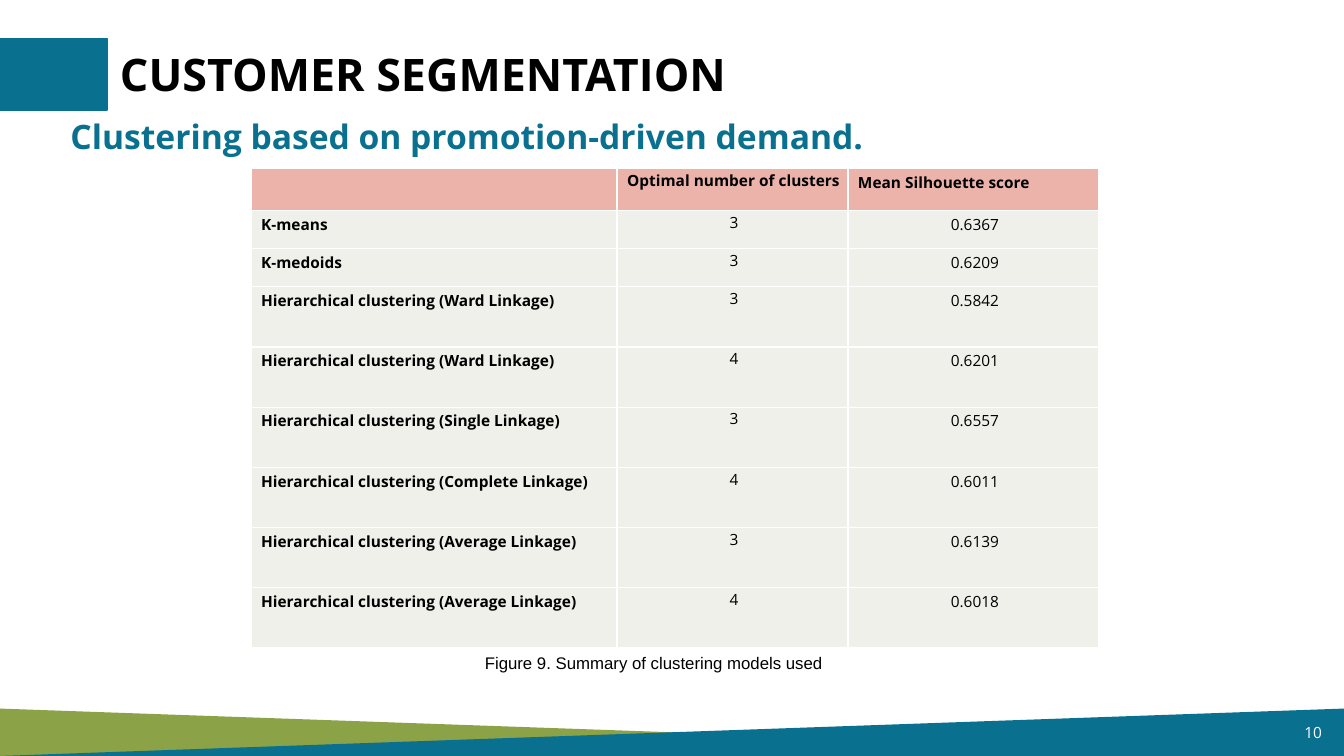
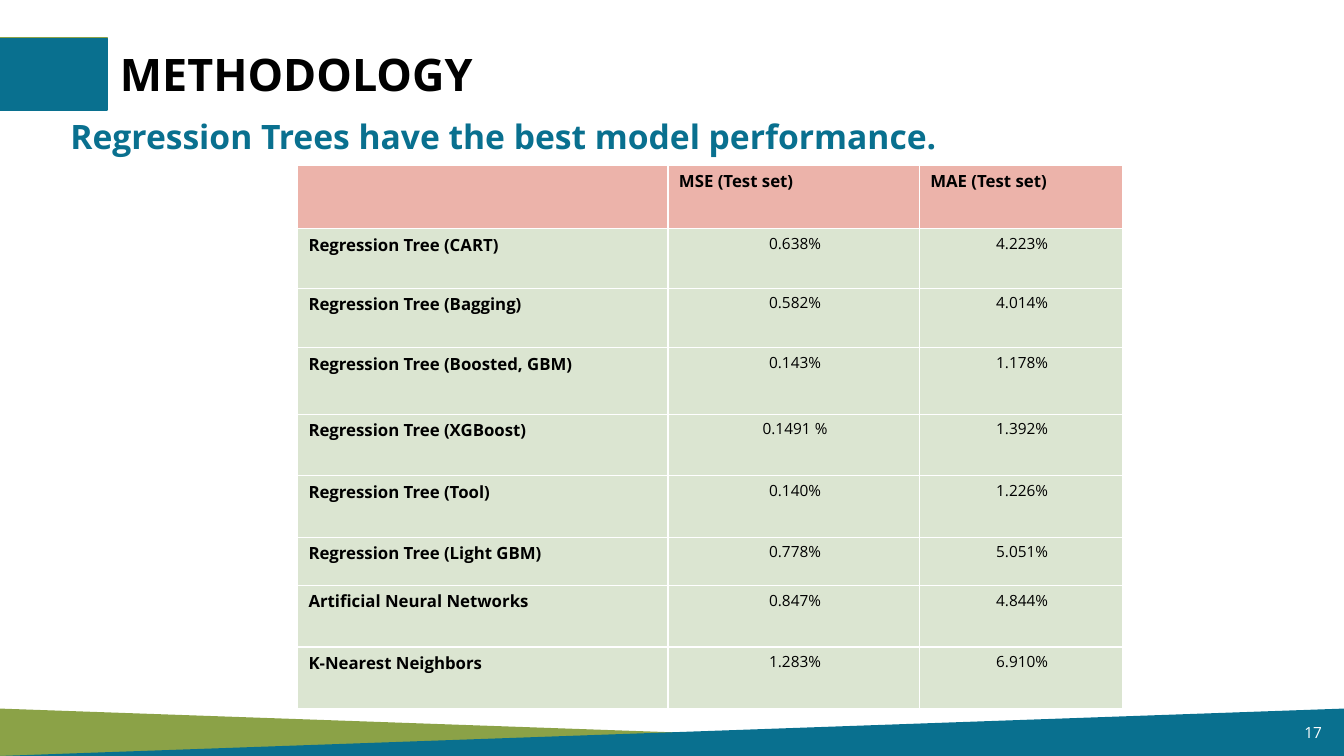
import pptx
import pptx.util
import pptx.dml.color
import pptx.enum.shapes
import pptx.enum.text
import lxml.etree
from pptx.util import Inches

HUES = {
    "teal": "09708F", "green": "8BA247", "white": "FFFFFF", "black": "000000",
    "head": "ECB3AA", "pale": "EEF0E9", "mint": "DBE5D1",
}
FONT = "Open Sans"
WIDE, HIGH = 13.33, 7.5
KIND = pptx.enum.shapes.MSO_SHAPE
ALIGN = pptx.enum.text.PP_ALIGN
NS = "http://schemas.openxmlformats.org/drawingml/2006/main"


def hue(name):
    return pptx.dml.color.RGBColor.from_string(HUES[name])


def place(box):
    return [Inches(n) for n in box]


def write(frame, words, size=11, font=FONT, color="black", bold=False,
          align=ALIGN.LEFT, after=None, lead=None, left=None):
    """Put one formatted paragraph in a text frame."""
    frame.word_wrap = True
    para = frame.paragraphs[0]
    para.alignment = align
    if after is not None:
        para.space_after = pptx.util.Pt(after)
    if lead is not None:
        para.line_spacing = lead
    if left is not None:
        props = para._p.get_or_add_pPr()
        props.set("marL", str(Inches(left)))
        props.set("indent", "0")
    run = para.add_run()
    run.text = words
    run.font.size = pptx.util.Pt(size)
    run.font.name = font
    run.font.bold = bold
    run.font.color.rgb = hue(color)


def label(slide, box, words, **style):
    write(slide.shapes.add_textbox(*place(box)).text_frame, words, **style)


def block(slide, kind, box, color, line=False, flip=False):
    shape = slide.shapes.add_shape(kind, *place(box))
    shape.shadow.inherit = False
    shape.fill.solid()
    shape.fill.fore_color.rgb = hue(color)
    if line:
        shape.line.color.rgb = hue(color)
        shape.line.width = pptx.util.Pt(1)
    else:
        shape.line.fill.background()
    if flip:
        shape._element.spPr.find(f"{{{NS}}}xfrm").set("flipH", "1")


def footer(slide, box, page):
    """Two crossing wedges with the page number at the right."""
    x, y, w, h = box
    for color, flip in (("green", False), ("teal", True)):
        block(slide, KIND.RIGHT_TRIANGLE, box, color, flip=flip)
    label(slide, (x + w - 1.04, y + 0.09, 0.92, 0.29), page,
          color="white", align=ALIGN.RIGHT)


def header(slide, box, title, lead, edge):
    """Colour tab, title and lead line; edge adds a green rim to the tab."""
    x, y, w, h = box
    if edge:
        block(slide, KIND.RECTANGLE, (x - 0.29, y - 0.01, 1.35, 0.71),
              "green", line=True)
    block(slide, KIND.RECTANGLE, (x - 0.29, y, 1.35, 0.71), "teal", line=True)

    head = slide.shapes.title
    head.left, head.top, head.width, head.height = place(
        (x + 1.09, y + 0.03, w - 1.5, 0.64))
    head.text_frame.vertical_anchor = pptx.enum.text.MSO_ANCHOR.TOP
    head.text_frame.auto_size = pptx.enum.text.MSO_AUTO_SIZE.NONE
    write(head.text_frame, title, size=32, bold=True)

    label(slide, (x + 0.6, y + 0.72, w - 0.72, 0.5), lead,
          size=24, color="teal", bold=True)


def rule(cell):
    """White one-point borders, ahead of the fill in the cell properties."""
    props = cell._tc.get_or_add_tcPr()
    for spot, side in enumerate("LRTB"):
        line = lxml.etree.Element(f"{{{NS}}}ln{side}", w="12700")
        fill = lxml.etree.SubElement(line, f"{{{NS}}}solidFill")
        lxml.etree.SubElement(fill, f"{{{NS}}}srgbClr", val=HUES["white"])
        props.insert(spot, line)


def grid(slide, box, data, cols, rows, fill, size, pads):
    """Score table; pads holds the side, top and bottom inset per column."""
    table = slide.shapes.add_table(
        len(rows), len(cols), *place(box)).table
    table.first_row = table.horz_banding = False
    for col, width in zip(table.columns, cols):
        col.width = Inches(box[2] * width / sum(cols))
    for row, height in zip(table.rows, rows):
        row.height = Inches(box[3] * height / sum(rows))
    for r, line in enumerate(data):
        for c, words in enumerate(line):
            cell = table.cell(r, c)
            cell.fill.solid()
            cell.fill.fore_color.rgb = hue(fill if r else "head")
            rule(cell)
            side, top, foot = pads[c]
            cell.margin_left = cell.margin_right = Inches(side)
            cell.margin_top, cell.margin_bottom = Inches(top), Inches(foot)
            score = r > 0 and c > 0
            write(cell.text_frame, words, size=11 if score else size,
                  bold=not score, after=8, lead=1.06, left=0.03,
                  align=ALIGN.CENTER if score else ALIGN.JUSTIFY)


def page(deck, title, lead, number, edge=False):
    slide = deck.slides.add_slide(deck.slide_layouts[5])
    footer(slide, (0, 7.03, WIDE, 0.47), number)
    header(slide, (0, 0.38, WIDE, 1.22), title, lead, edge)
    return slide


MODELS = [
    ("", "Optimal number of clusters", "Mean Silhouette score"),
    ("K-means", "3", "0.6367"),
    ("K-medoids", "3", "0.6209"),
    ("Hierarchical clustering (Ward Linkage)", "3", "0.5842"),
    ("Hierarchical clustering (Ward Linkage)", "4", "0.6201"),
    ("Hierarchical clustering (Single Linkage)", "3", "0.6557"),
    ("Hierarchical clustering (Complete Linkage)", "4", "0.6011"),
    ("Hierarchical clustering (Average Linkage)", "3", "0.6139"),
    ("Hierarchical clustering (Average Linkage)", "4", "0.6018"),
]
ERRORS = [
    ("", "MSE (Test set)", "MAE (Test set)"),
    ("Regression Tree (CART)", "0.638%", "4.223%"),
    ("Regression Tree (Bagging)", "0.582%", "4.014%"),
    ("Regression Tree (Boosted, GBM)", "0.143%", "1.178%"),
    ("Regression Tree (XGBoost)", "0.1491 %", "1.392%"),
    ("Regression Tree (Tool)", "0.140%", "1.226%"),
    ("Regression Tree (Light GBM)", "0.778%", "5.051%"),
    ("Artificial Neural Networks", "0.847%", "4.844%"),
    ("K-Nearest Neighbors", "1.283%", "6.910%"),
]


def main():
    deck = pptx.Presentation()
    deck.slide_width, deck.slide_height = Inches(WIDE), Inches(HIGH)

    # Clustering models
    slide = page(deck, "CUSTOMER SEGMENTATION",
                 "Clustering based on promotion-driven demand.", "10")
    label(slide, (2.43, 6.43, 8.11, 0.3),
          "Figure 9. Summary of clustering models used",
          size=12, font="Arial", align=ALIGN.CENTER)
    loose = (0.07, 0.02, 0.06)
    grid(slide, (2.49, 1.67, 8.41, 4.76), MODELS, [3.63, 2.29, 2.49],
         [0.42] + [0.38] * 2 + [0.6] * 6, "pale", 11,
         [loose, (0.07, 0, 0), loose])

    # Regression models
    slide = page(deck, "METHODOLOGY",
                 "Regression Trees have the best model performance.", "17",
                 edge=True)
    grid(slide, (2.95, 1.64, 8.18, 5.39), ERRORS, [3.67, 2.49, 2.01],
         [0.63, 0.59, 0.59, 0.66, 0.61, 0.61, 0.48, 0.61, 0.61], "mint", 12,
         [(0.08, 0.03, 0.07)] * 3)

    deck.save("out.pptx")


if __name__ == "__main__":
    main()
